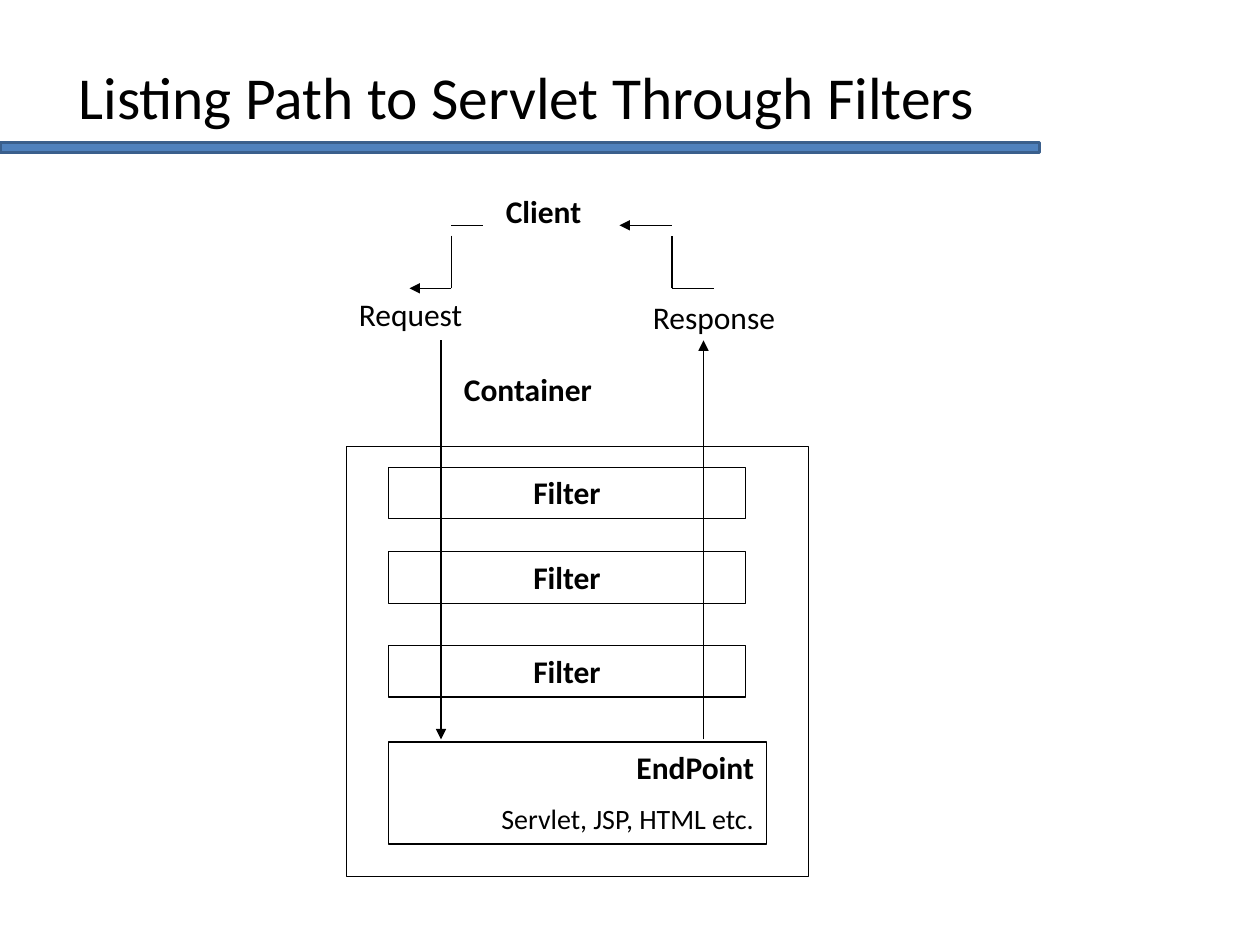
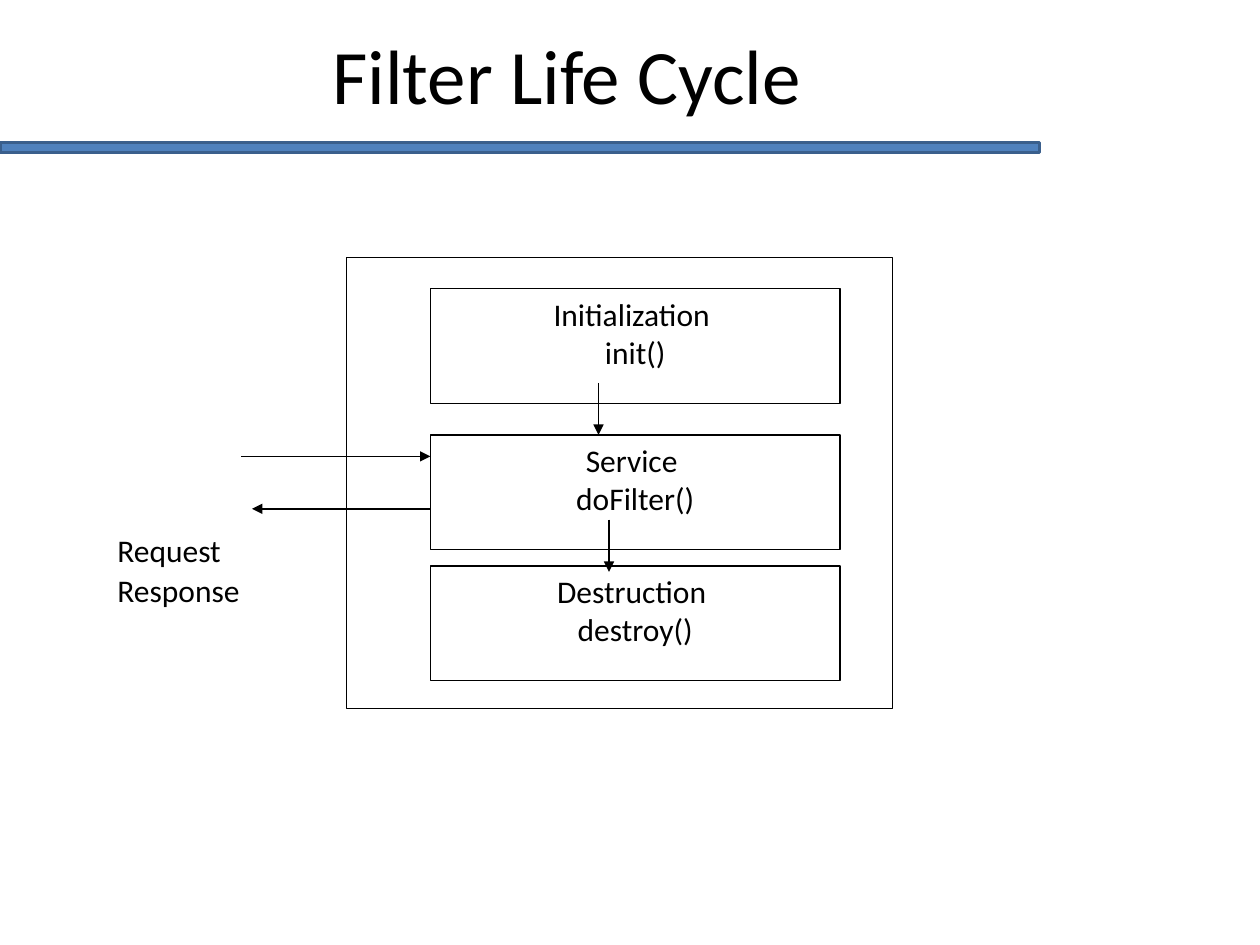
import dataclasses

import lxml.etree
import pptx
import pptx.dml.color
import pptx.enum.shapes
import pptx.enum.text
import pptx.oxml.ns
import pptx.presentation
import pptx.shapes.base
import pptx.slide
import pptx.util

Pt = pptx.util.Pt
ALIGN = pptx.enum.text.PP_ALIGN
ANCHOR = pptx.enum.text.MSO_ANCHOR

COLORS = {"ink": "000000", "band": "4F81BD", "band_edge": "3A5F8C"}
FONT = "Calibri"
BODY_SIZE = 18
LINE_WIDTH = 0.75
PARAGRAPH_GAP = 9


@dataclasses.dataclass
class Area:
    left: float
    top: float
    width: float
    height: float

    def lengths(self) -> list[int]:
        return [Pt(value) for value in (self.left, self.top, self.width, self.height)]


@dataclasses.dataclass
class Text:
    words: str
    size: float = BODY_SIZE
    bold: bool = False


@dataclasses.dataclass
class Link:
    start: tuple[float, float]
    end: tuple[float, float]
    arrow: bool = True


def color(name: str) -> pptx.dml.color.RGBColor:
    return pptx.dml.color.RGBColor.from_string(COLORS[name])


def style_font(font, text: Text) -> None:
    font.name = FONT
    font.size = Pt(text.size)
    font.bold = text.bold
    font.color.rgb = color("ink")


def write(box: pptx.shapes.base.BaseShape, texts: list[Text], align: ALIGN,
          anchor: ANCHOR = ANCHOR.TOP) -> None:
    """Put one paragraph per text into the box."""
    frame = box.text_frame
    frame.word_wrap = True
    frame.vertical_anchor = anchor
    for index, text in enumerate(texts):
        para = frame.add_paragraph() if index else frame.paragraphs[0]
        para.text = text.words
        para.alignment = align
        para.space_before = Pt(PARAGRAPH_GAP if index else 0)
        style_font(para.font, text)


def add_label(page: pptx.slide.Slide, area: Area, text: Text) -> None:
    write(page.shapes.add_textbox(*area.lengths()), [text], ALIGN.LEFT)


def add_box(page: pptx.slide.Slide, area: Area, texts: list[Text],
            align: ALIGN = ALIGN.CENTER) -> pptx.shapes.base.BaseShape:
    """Draw an outlined box without fill."""
    box = page.shapes.add_shape(pptx.enum.shapes.MSO_SHAPE.RECTANGLE, *area.lengths())
    box.shadow.inherit = False
    box.fill.background()
    box.line.color.rgb = color("ink")
    box.line.width = Pt(LINE_WIDTH)
    write(box, texts, align)
    return box


def add_link(page: pptx.slide.Slide, link: Link) -> None:
    ends = [Pt(value) for value in (*link.start, *link.end)]
    line = page.shapes.add_connector(pptx.enum.shapes.MSO_CONNECTOR.STRAIGHT, *ends)
    line.line.color.rgb = color("ink")
    line.line.width = Pt(LINE_WIDTH)
    qn = pptx.oxml.ns.qn
    properties = line.element.find(qn("p:spPr"))
    if link.arrow:
        lxml.etree.SubElement(properties.find(qn("a:ln")), qn("a:tailEnd"), type="triangle")
    lxml.etree.SubElement(properties, qn("a:effectLst"))


def add_page(deck: pptx.presentation.Presentation, area: Area,
             spans: list[Text]) -> pptx.slide.Slide:
    """Start a page with the blue band and its title."""
    page = deck.slides.add_slide(deck.slide_layouts[6])
    band = add_box(page, Area(0, 81.4, 594, 5.8), [])
    band.fill.solid()
    band.fill.fore_color.rgb = color("band")
    band.line.color.rgb = color("band_edge")
    band.line.width = Pt(2)

    title = page.shapes.add_textbox(*area.lengths())
    write(title, [spans[0]], ALIGN.CENTER, ANCHOR.MIDDLE)
    for text in spans[1:]:
        span = title.text_frame.paragraphs[0].add_run()
        span.text = text.words
        style_font(span.font, text)
    return page


def build_filter_route(deck: pptx.presentation.Presentation) -> None:
    page = add_page(deck, Area(19.5, 18, 572.5, 65.5),
                    [Text("Listing Path to Servlet Through Filters", 34), Text(" ", 44)])

    # Container with its filters and endpoint
    add_box(page, Area(198, 255, 264, 246), [])
    for top in (267, 315.3, 368.8):
        add_box(page, Area(222, top, 204, 29.5), [Text("Filter", bold=True)])
    add_box(page, Area(222, 424, 216, 58.3),
            [Text("EndPoint", bold=True), Text("Servlet, JSP, HTML etc.", 16)], ALIGN.RIGHT)

    # Labels
    add_label(page, Area(282, 106, 108, 29), Text("Client", bold=True))
    add_label(page, Area(198, 165, 108, 29), Text("Request"))
    add_label(page, Area(366, 167, 144, 37), Text("Response"))
    add_label(page, Area(258, 208, 132, 37), Text("Container", bold=True))

    # Long arrows through the filters
    request_x, response_x, outer_y, endpoint_y = 252, 402, 194.5, 422.5
    add_link(page, Link((response_x, endpoint_y), (response_x, outer_y)))
    add_link(page, Link((request_x, outer_y), (request_x, endpoint_y)))

    # Stepped lines between the client and the two labels
    client_y, step_y, label_y = 128.8, 134.6, 164.8
    for link in (
        Link((276, client_y), (258, client_y), arrow=False),
        Link((258, step_y), (258, label_y), arrow=False),
        Link((258, label_y), (234, label_y)),
        Link((408, label_y), (384, label_y), arrow=False),
        Link((384, label_y), (384, step_y), arrow=False),
        Link((384, client_y), (354, client_y)),
    ):
        add_link(page, link)


def build_life_cycle(deck: pptx.presentation.Presentation) -> None:
    page = add_page(deck, Area(0, 12, 648, 60), [Text("Filter Life Cycle", 44)])

    # Labels
    for top, words in ((300, "Request"), (322.8, "Response")):
        add_label(page, Area(60, top, 126, 29), Text(words))

    # Frame with the three stages
    add_box(page, Area(198, 147, 312, 258), [])
    for top, words in ((165, "Initialization \vinit()"),
                       (248.5, "Service \vdoFilter()"),
                       (323.5, "Destruction \vdestroy()")):
        add_box(page, Area(246, top, 234, 65.5), [Text(words)])

    # Arrows between stages, then request in and response out
    for link in (
        Link((342, 218.8), (342, 248.5)),
        Link((348, 297), (348, 326.8)),
        Link((138, 260.8), (246, 260.8)),
        Link((246, 290.8), (144, 290.8)),
    ):
        add_link(page, link)


def main() -> None:
    deck = pptx.Presentation()
    deck.slide_width, deck.slide_height = Pt(720), Pt(540)
    build_filter_route(deck)
    build_life_cycle(deck)
    deck.save("out.pptx")


main()
